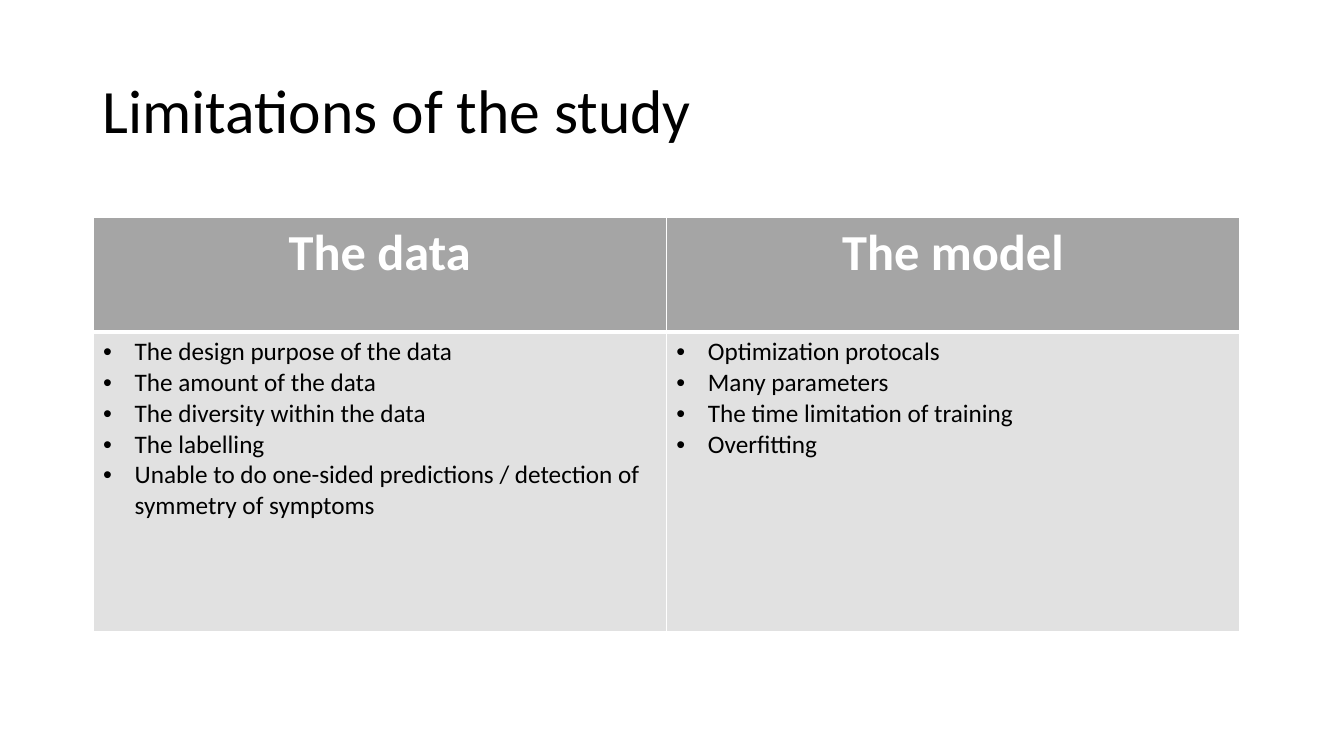
import pptx
import pptx.dml.color
import pptx.enum.text
import pptx.oxml.ns
import pptx.util
from lxml import etree

Pt = pptx.util.Pt
ALIGN = pptx.enum.text.PP_ALIGN
ANCHOR = pptx.enum.text.MSO_ANCHOR
qn = pptx.oxml.ns.qn

COLOURS = {"black": "000000", "white": "FFFFFF", "header": "A5A5A5", "body": "E1E1E1"}

TITLE = {"name": "Calibri", "size": Pt(44), "bold": False, "colour": "black"}
HEADER = {"name": "Calibri", "size": Pt(36), "bold": True, "colour": "white"}
BODY = {"name": "Calibri", "size": Pt(18), "bold": False, "colour": "black"}

LIMITATIONS = {
    "The data": [
        "The design purpose of the data",
        "The amount of the data",
        "The diversity within the data",
        "The labelling",
        "Unable to do one-sided predictions / detection of symmetry of symptoms",
    ],
    "The model": [
        "Optimization protocals",
        "Many parameters",
        "The time limitation of training",
        "Overfitting",
    ],
}


def rgb(name):
    return pptx.dml.color.RGBColor.from_string(COLOURS[name])


def format_font(font, values):
    for key, value in values.items():
        if key == "colour":
            font.color.rgb = rgb(value)
        else:
            setattr(font, key, value)


def add_bullet(para):
    properties = para._p.get_or_add_pPr()
    properties.set("marL", str(Pt(22.5)))
    properties.set("indent", str(-Pt(22.5)))
    etree.SubElement(properties, qn("a:buFont"), typeface="Arial")
    etree.SubElement(properties, qn("a:buChar"), char="•")


def add_borders(cell, widths):
    """Draw white borders; they must come before the fill in the cell."""
    properties = cell._tc.get_or_add_tcPr()
    for side, width in zip("LRTB", widths):
        line = etree.SubElement(properties, qn(f"a:ln{side}"), w=str(Pt(width)))
        fill = etree.SubElement(line, qn("a:solidFill"))
        etree.SubElement(fill, qn("a:srgbClr"), val=COLOURS["white"])


def fill_cell(cell, lines, values, colour, widths, bulleted=False):
    add_borders(cell, widths)
    cell.fill.solid()
    cell.fill.fore_color.rgb = rgb(colour)
    frame = cell.text_frame
    for number, line in enumerate(lines):
        para = frame.add_paragraph() if number else frame.paragraphs[0]
        if bulleted:
            add_bullet(para)
        else:
            para.alignment = ALIGN.CENTER
        span = para.add_run()
        span.text = line
        format_font(span.font, values)


def set_title(page, text):
    box = page.shapes.title
    box.left, box.top, box.width, box.height = Pt(66), Pt(28.75), Pt(828), Pt(104.4)
    box.text_frame.text = text
    box.text_frame.vertical_anchor = ANCHOR.MIDDLE
    para = box.text_frame.paragraphs[0]
    para.alignment = ALIGN.LEFT
    para.line_spacing = 0.9
    format_font(para.runs[0].font, TITLE)


def add_limitations_table(page):
    heights = [Pt(82), Pt(214)]
    column_width = Pt(409.5)
    count = len(LIMITATIONS)
    table = page.shapes.add_table(
        len(heights), count, Pt(66.5), Pt(155), column_width * count, sum(heights)
    ).table
    for row, height in zip(table.rows, heights):
        row.height = height
    for index, (heading, points) in enumerate(LIMITATIONS.items()):
        table.columns[index].width = column_width
        fill_cell(table.cell(0, index), [heading], HEADER, "header", (1, 1, 1, 3))
        fill_cell(table.cell(1, index), points, BODY, "body", (1, 1, 3, 1), bulleted=True)


def main():
    deck = pptx.Presentation()
    deck.slide_width, deck.slide_height = Pt(960), Pt(540)

    # Title-only page
    page = deck.slides.add_slide(deck.slide_layouts[5])
    set_title(page, "Limitations of the study")

    # Two columns of limitations
    add_limitations_table(page)

    deck.save("out.pptx")


if __name__ == "__main__":
    main()
